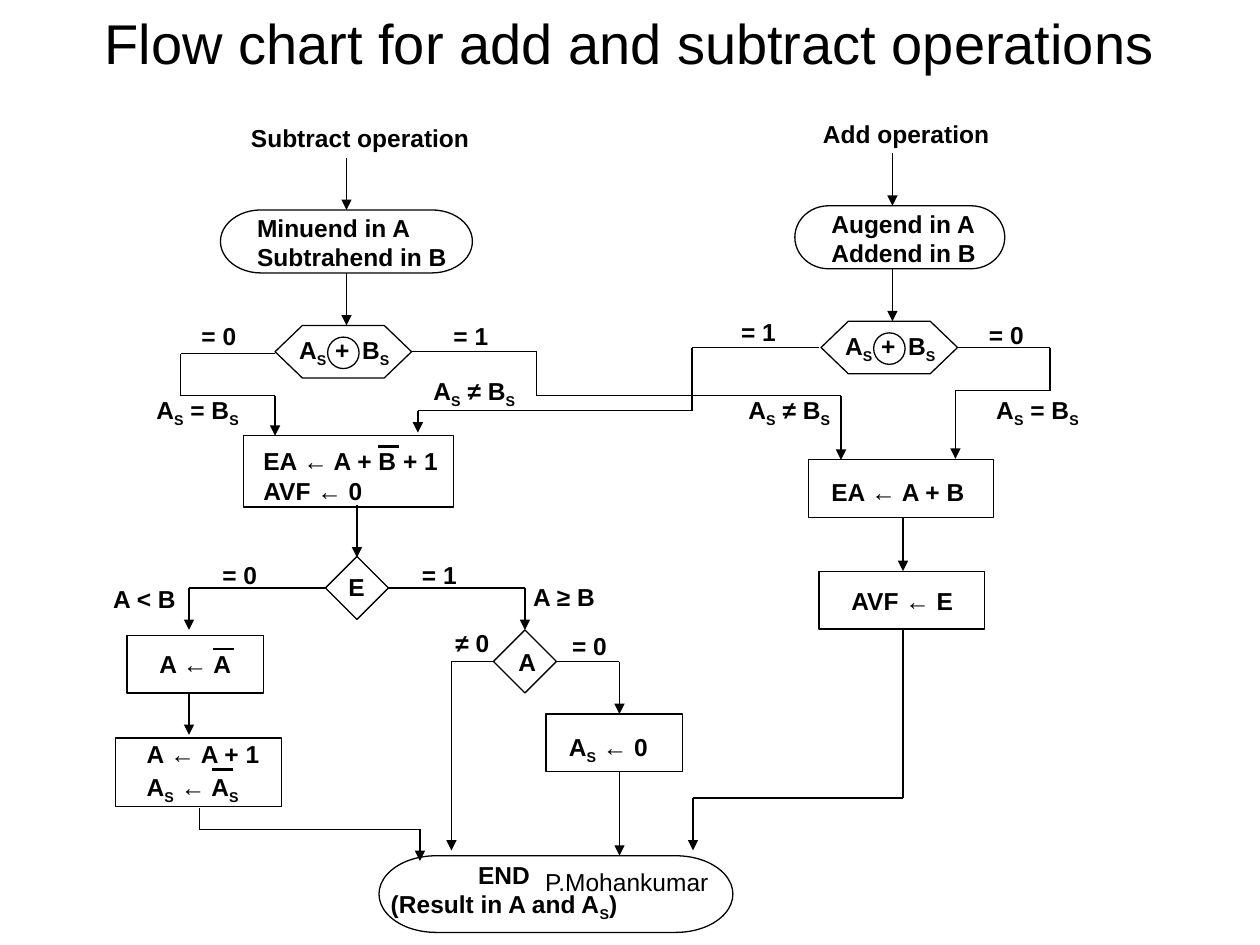
from dataclasses import dataclass
from itertools import pairwise

from pptx import Presentation
from pptx.dml.color import RGBColor
from pptx.enum.shapes import MSO_CONNECTOR, MSO_SHAPE
from pptx.enum.text import MSO_ANCHOR, MSO_AUTO_SIZE, PP_ALIGN
from pptx.oxml.ns import qn
from pptx.oxml.xmlchemy import OxmlElement
from pptx.util import Inches, Pt

TERMINAL = MSO_SHAPE.FLOWCHART_TERMINATOR
TEST = MSO_SHAPE.FLOWCHART_PREPARATION
DECISION = MSO_SHAPE.FLOWCHART_DECISION
PROCESS = MSO_SHAPE.RECTANGLE
CIRCLE = MSO_SHAPE.OVAL
STRAIGHT = MSO_CONNECTOR.STRAIGHT
LEFT, CENTER = PP_ALIGN.LEFT, PP_ALIGN.CENTER

WIDTH, HEIGHT = Inches(10), Inches(7.5)
COLUMNS, ROWS = 120, 90


@dataclass(frozen=True)
class Theme:
    font: str = "Arial"
    ink: RGBColor = RGBColor(0, 0, 0)
    title: Pt = Pt(32)
    body: Pt = Pt(14)
    line: Pt = Pt(0.75)
    bar: Pt = Pt(1.5)


@dataclass(frozen=True)
class Region:
    slide: object
    left: float
    top: float

    def point(self, x, y):
        return (round((self.left + x) * WIDTH / COLUMNS),
                round((self.top + y) * HEIGHT / ROWS))

    def frame(self, x, y, width, height):
        return (*self.point(x, y),
                round(width * WIDTH / COLUMNS), round(height * HEIGHT / ROWS))


THEME = Theme()


def style(font, size, bold):
    font.name, font.size, font.bold = THEME.font, size, bold
    font.color.rgb = THEME.ink


def label(region, text, x, y, width=6.4, height=4.1, align=LEFT, bold=True, gap=0):
    box = region.slide.shapes.add_textbox(*region.frame(x, y, width, height))
    content = box.text_frame
    content.word_wrap = True
    content.auto_size = MSO_AUTO_SIZE.NONE
    for index, line in enumerate(text.split("\n")):
        paragraph = content.paragraphs[0] if index == 0 else content.add_paragraph()
        paragraph.alignment = align
        if index and gap:
            paragraph.space_before = Pt(gap)
        first, *rest = line.split("_")
        pieces = [(first, False)]
        for part in rest:
            pieces += [(part[0], True), (part[1:], False)]
        for piece, subscript in pieces:
            if piece:
                run = paragraph.add_run()
                run.text = piece
                style(run.font, THEME.body, bold)
                if subscript:
                    run.font._element.set("baseline", "-25000")


def outline(region, preset, x, y, width, height):
    step = region.slide.shapes.add_shape(preset, *region.frame(x, y, width, height))
    step.shadow.inherit = False
    step.fill.background()
    step.line.color.rgb = THEME.ink
    step.line.width = THEME.line


def route(region, *stops, arrow=True, weight=THEME.line):
    legs = list(pairwise(stops))
    for index, (start, end) in enumerate(legs, 1):
        leg = region.slide.shapes.add_connector(
            STRAIGHT, *region.point(*start), *region.point(*end))
        leg.line.color.rgb = THEME.ink
        leg.line.width = weight
        properties = leg._element.spPr
        if arrow and index == len(legs):
            head = OxmlElement("a:tailEnd")
            head.set("type", "triangle")
            properties.find(qn("a:ln")).append(head)
        properties.append(OxmlElement("a:effectLst"))


def overbar(region, x, y):
    route(region, (x, y), (x + 2, y), arrow=False, weight=THEME.bar)


def heading(region, text):
    title = region.slide.shapes.title
    title.left, title.top, title.width, title.height = region.frame(0, 0, 108, 8)
    title.text_frame.text = text
    title.text_frame.vertical_anchor = MSO_ANCHOR.MIDDLE
    paragraph = title.text_frame.paragraphs[0]
    paragraph.alignment = CENTER
    style(paragraph.runs[0].font, THEME.title, False)


def entry(region, operation, operands, left, width):
    label(region, operation, 7.3, 1.1, 26, align=CENTER)
    route(region, (19, 5), (19, 10))
    outline(region, TERMINAL, left, 10, width, 6)
    label(region, operands, left + 2.3, 9.7, width - 2, 6.8)
    route(region, (19, 16), (19, 21))
    outline(region, TEST, 12.2, 21, 13, 5)
    outline(region, CIRCLE, 17.2, 22.1, 3, 3)
    label(region, "A_S", 13.3, 21.3, 5.6)
    label(region, "+", 16.6, 21.3, 4, align=CENTER)
    label(region, "B_S", 19.3, 21.3, 5.6)


def sign_routes(region):
    route(region, (14.2, 3.7), (5.2, 3.7), (5.2, 7.7), (14.2, 7.7), (14.2, 11.5))
    route(region, (27.1, 3.5), (39.1, 3.5), (39.1, 7.7), (68.1, 7.7), (68.1, 13.8))
    route(region, (66, 3.1), (53.9, 3.1), (53.9, 9.1), (27.8, 9.1), (27.8, 11.2))
    route(region, (79.2, 3.1), (88, 3.1), (88, 7.2), (79, 7.2), (79, 13.7))
    for text, x, y in (("= 0", 6, 0), ("= 1", 30, 0),
                       ("= 1", 57.4, -0.4), ("= 0", 81, -0.1)):
        label(region, text, x, y)
    for text, x, y in (("A_S = B_S", 1.7, 7), ("A_S ≠ B_S", 28.1, 5.2),
                       ("A_S ≠ B_S", 58.1, 7), ("A_S = B_S", 81.7, 7)):
        label(region, text, x, y, 11.2, 4.4)


def magnitude_difference(region):
    outline(region, PROCESS, 14.2, 1.5, 20, 6.8)
    label(region, "EA ← A + B + 1\nAVF ← 0", 14.9, 1.9, 20.4, 7.2)
    overbar(region, 27, 2.5)
    route(region, (25, 8.1), (25, 13.1))

    outline(region, DECISION, 22, 13, 6, 6)
    label(region, "E", 23, 13.9, 4.9)
    route(region, (22, 16), (9, 16), (9, 20))
    route(region, (28, 16), (41, 16), (41, 20))

    outline(region, PROCESS, 3.1, 20.5, 13, 5.5)
    label(region, "A ← A", 5, 21.2, 11)
    overbar(region, 11.3, 21.8)
    route(region, (9, 26), (9, 30))
    outline(region, PROCESS, 2, 30.3, 15.8, 6.5)
    label(region, "A ← A + 1\nA_S ← A_S", 3.8, 29.8, 14.6, 7.6, gap=2)
    overbar(region, 11.2, 33.3)
    route(region, (10, 37), (10, 39), (31, 39), (31, 42))

    outline(region, DECISION, 38, 20, 6, 6)
    label(region, "A", 39.2, 21, 4.9)
    route(region, (38, 23), (34, 23), (34, 41))
    route(region, (44, 23), (50, 23), (50, 28))
    outline(region, PROCESS, 43, 28, 13, 5.5)
    label(region, "A_S ← 0", 44, 29.1, 11, 4.4)
    route(region, (50, 33.5), (50, 41.5))

    for text, x, y, width in (("= 0", 11, 12.7, 6.4), ("= 1", 30, 12.7, 6.4),
                              ("≠ 0", 33.2, 19.2, 6.4), ("= 0", 44.3, 19.5, 6.4),
                              ("A < B", 0.6, 15, 9.2), ("A ≥ B", 40.6, 14.8, 9.2)):
        label(region, text, x, y, width)


def magnitude_sum(region):
    outline(region, PROCESS, 11, 0.8, 17.6, 5.5)
    label(region, "EA ← A + B", 12, 1.8, 16.2)
    route(region, (20, 6.3), (20, 11.4))
    outline(region, PROCESS, 12, 11.4, 15.8, 5.5)
    label(region, "AVF ← E", 13.9, 12.2, 13)
    route(region, (20, 17), (20, 33), (0, 33), (0, 38))


def result(region):
    outline(region, TERMINAL, 0.1, 0.5, 33.7, 7.3)
    label(region, "END\n(Result in A and A_S)", -0.5, 0.3, 25, 7.2, align=CENTER)
    label(region, "P.Mohankumar", 4.7, 1, 38, 6.2, align=CENTER, bold=False)


def main():
    deck = Presentation()
    deck.slide_width, deck.slide_height = WIDTH, HEIGHT
    slide = deck.slides.add_slide(deck.slide_layouts.get_by_name("Title Only"))
    heading(Region(slide, 6, 0), "Flow chart for add and subtract operations")
    entry(Region(slide, 14, 10), "Subtract operation",
          "Minuend in A\nSubtrahend in B", 7, 24)
    entry(Region(slide, 66, 9.6), "Add operation",
          "Augend in A\nAddend in B", 9.7, 20)
    sign_routes(Region(slide, 12, 30))
    magnitude_difference(Region(slide, 9, 40))
    magnitude_sum(Region(slide, 66, 43))
    result(Region(slide, 36, 81))
    deck.save("out.pptx")


if __name__ == "__main__":
    main()
